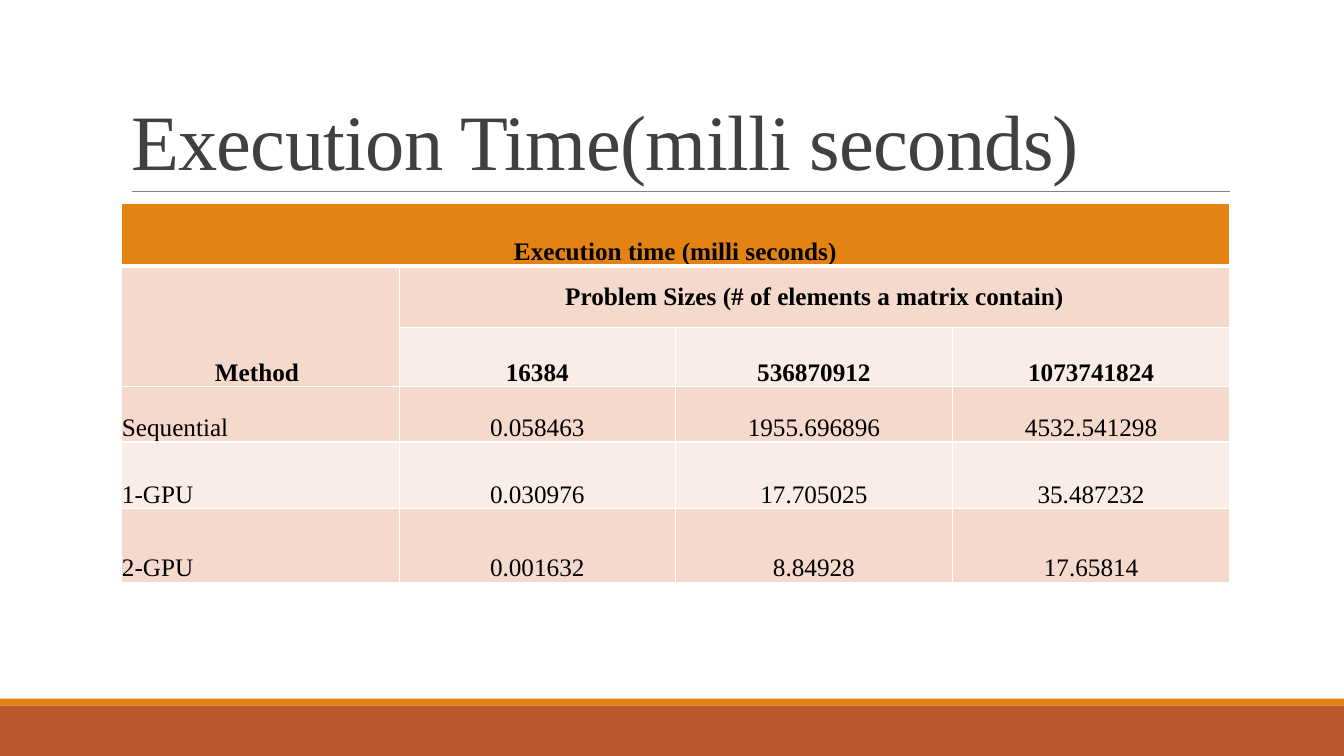
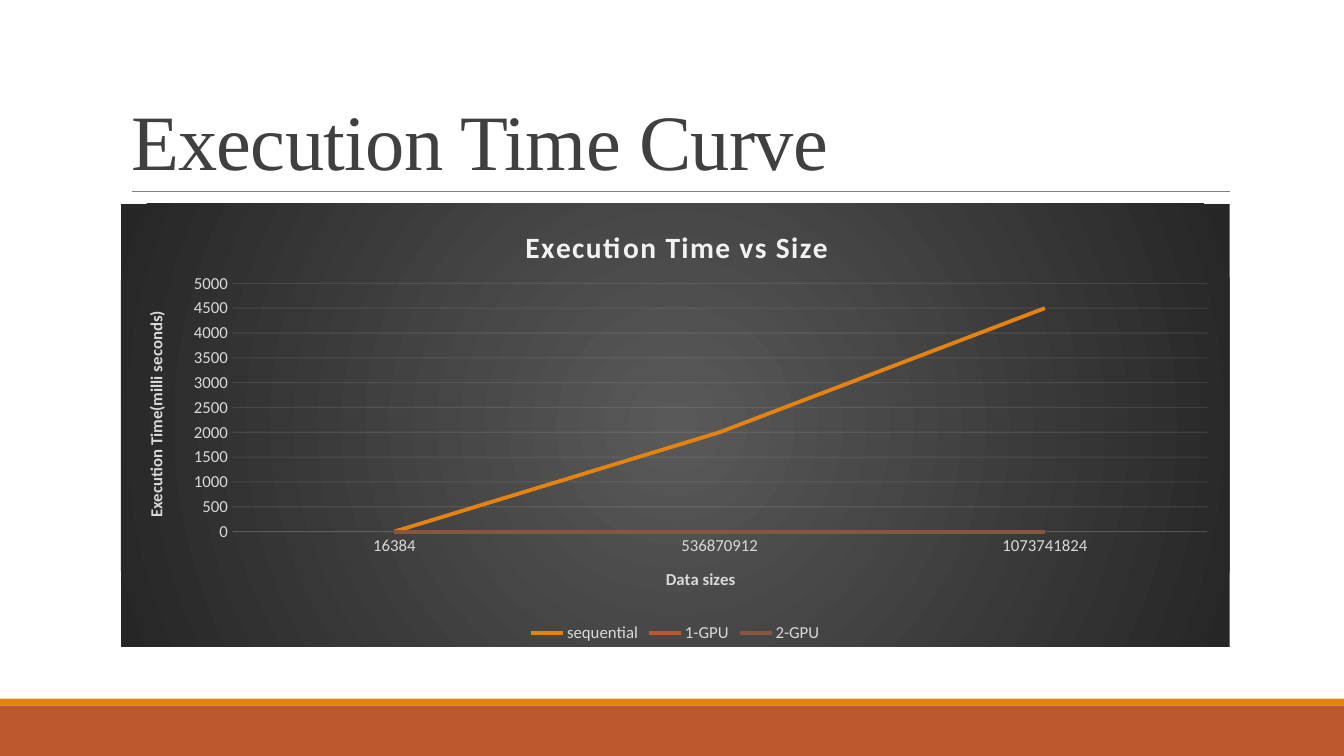
from lxml.etree import SubElement
from pptx import Presentation
from pptx.chart.data import CategoryChartData
from pptx.dml.color import RGBColor
from pptx.enum.chart import XL_CHART_TYPE as CT, XL_LEGEND_POSITION as LP, XL_TICK_MARK as TM
from pptx.enum.shapes import MSO_CONNECTOR as MC, MSO_SHAPE as MS
from pptx.enum.text import MSO_ANCHOR as MA, MSO_AUTO_SIZE as AS, PP_ALIGN as PA
from pptx.oxml import parse_xml
from pptx.oxml.ns import nsdecls, qn
from pptx.util import Inches, Pt

COLORS = {
    "orange": "E48312", "rust": "BD582C", "brown": "865640",
    "title": "404040", "rule": "808080", "white": "FFFFFF", "black": "000000",
    "band": "F5D9CC", "pale": "FAEDE7",
    "chart_title": "F2F2F2", "chart_text": "D9D9D9", "chart_line": "F2F2F2",
    "glow": "595959", "dark": "262626",
}
SERIF, SANS = "Times New Roman", "Calibri"
W, H = Inches(13.33), Inches(7.5)
COL, ROW = W / 100, H / 100
LEFT, WIDTH, TOP = 9 * COL, 82.5 * COL, 26.93 * ROW
TITLE_BOX = (LEFT, 4.1 * ROW, WIDTH, 21.2 * ROW)
TABLE_BOX = (LEFT, TOP, WIDTH, 50.1 * ROW)
CHART_BOX = (LEFT, TOP, WIDTH, 58.65 * ROW)
ROW_PERCENTS = (16.5, 16.3, 15.5, 14.7, 17.6, 19.4)
COLUMN_PERCENTS = (25.1, 24.9, 25, 25)

SIZES = ("16384", "536870912", "1073741824")
TIMES = {
    "Sequential": ("0.058463", "1955.696896", "4532.541298"),
    "1-GPU": ("0.030976", "17.705025", "35.487232"),
    "2-GPU": ("0.001632", "8.84928", "17.65814"),
}


def rgb(name):
    return RGBColor.from_string(COLORS[name])


def place(shape, box):
    shape.left, shape.top, shape.width, shape.height = map(int, box)


def style_font(font, size, color, name, bold=False):
    font.size, font.name, font.bold = Pt(size), name, bold
    font.color.rgb = rgb(color)


def add_band(s, top, height, color):
    band = s.shapes.add_shape(MS.RECTANGLE, 0, int(top * ROW), W, int(height * ROW))
    band.shadow.inherit = False
    band.fill.solid()
    band.fill.fore_color.rgb = rgb(color)
    band.line.fill.background()
    return band


def add_rule(s):
    y = int(25.3 * ROW)
    rule = s.shapes.add_connector(MC.STRAIGHT, int(9.8 * COL), y, int(91.55 * COL), y)
    rule.line.color.rgb = rgb("rule")
    rule.line.width = Pt(0.5)
    SubElement(rule.element.spPr, qn("a:effectLst"))
    return rule


def style_title(title):
    """Give the layout's title the look that every slide inherits."""
    place(title, TITLE_BOX)
    tf = title.text_frame
    tf.vertical_anchor, tf.auto_size = MA.BOTTOM, AS.NONE
    styles = title.element.txBody.find(qn("a:lstStyle"))
    styles.append(parse_xml(
        f'<a:lvl1pPr {nsdecls("a")} algn="l"><a:lnSpc><a:spcPct val="85000"/></a:lnSpc>'
        f'<a:defRPr sz="5600" spc="-50"><a:solidFill><a:srgbClr val="{COLORS["title"]}"/>'
        f'</a:solidFill><a:latin typeface="{SERIF}"/></a:defRPr></a:lvl1pPr>'))


def build_layout(layout, s):
    """Style the title and move the bands and the rule from slide s to its layout."""
    for ph in list(layout.placeholders):
        if ph.placeholder_format.idx:
            ph.element.getparent().remove(ph.element)
        else:
            style_title(ph)
    tree = layout.shapes.element
    parts = (add_band(s, 93.3, 6.7, "rust"), add_band(s, 92.4, 0.9, "orange"),
             add_rule(s))
    for i, part in enumerate(parts):
        tree.insert(2 + i, part.element)


def set_title(s, text):
    s.shapes.title.text_frame.paragraphs[0].add_run().text = text


def fill_cell(cell, text, color, bold, align, anchor):
    cell.fill.solid()
    cell.fill.fore_color.rgb = rgb(color)
    cell.margin_left = cell.margin_right = cell.margin_top = Inches(0.01)
    cell.margin_bottom = 0
    cell.vertical_anchor = anchor
    p = cell.text_frame.paragraphs[0]
    p.alignment = align
    if text:
        r = p.add_run()
        r.text = text
        style_font(r.font, 18, "black", SERIF, bold)


def set_borders(tc_pr, widths):
    """Draw white left, right, top and bottom borders, widths in points."""
    for i, (side, width) in enumerate(zip("LRTB", widths)):
        tc_pr.insert(i, parse_xml(
            f'<a:ln{side} {nsdecls("a")} w="{Pt(width)}"><a:solidFill>'
            f'<a:srgbClr val="{COLORS["white"]}"/></a:solidFill></a:ln{side}>'))


def add_time_table(s, box):
    rows = [
        ("Execution time (milli seconds)", "", "", ""),
        ("Method ", "Problem Sizes (# of elements a matrix contain)", "", ""),
        ("", *SIZES),
        *((method, *times) for method, times in TIMES.items()),
    ]
    frame = s.shapes.add_table(len(rows), len(rows[0]), *map(int, box))
    table = frame.table
    table.first_row = table.horz_banding = False
    for row, percent in zip(table.rows, ROW_PERCENTS):
        row.height = int(percent * box[3] / 100)
    for column, percent in zip(table.columns, COLUMN_PERCENTS):
        column.width = int(percent * box[2] / 100)
    for i, row in enumerate(rows):
        color = "orange" if i == 0 else "band" if i % 2 else "pale"
        for j, text in enumerate(row):
            align = PA.LEFT if i > 2 and j == 0 else PA.CENTER
            anchor = MA.MIDDLE if (i, j) == (1, 1) else MA.BOTTOM
            fill_cell(table.cell(i, j), text, color, i < 3, align, anchor)
    for start, end in (((0, 0), (0, 3)), ((1, 0), (2, 0)), ((1, 1), (1, 3))):
        table.cell(*start).merge(table.cell(*end))
    for i, tr in enumerate(frame.element.iter(qn("a:tr"))):
        for tc_pr in tr.iter(qn("a:tcPr")):
            set_borders(tc_pr, (1, 1, 3 if i == 1 else 1, 3 if i == 0 else 1))


def add_chart_title(owner, text, size, color):
    r = owner.text_frame.paragraphs[0].add_run()
    r.text = text
    style_font(r.font, size, color, SANS, True)


def style_axis(axis, title):
    axis.major_tick_mark = axis.minor_tick_mark = TM.NONE
    style_font(axis.tick_labels.font, 12, "chart_text", SANS)
    add_chart_title(axis.axis_title, title, 12, "chart_text")


def style_line(line, color, width):
    line.color.rgb = rgb(color)
    line.width = Pt(width)


def set_chart_layout(parent, index, target="", **shares):
    """Fix the place of a chart part as shares of the chart's size."""
    for old in parent.findall(qn("c:layout")):
        parent.remove(old)
    sizes = "".join(f'<c:{key} val="{share}"/>' for key, share in shares.items())
    parent.insert(index, parse_xml(
        f'<c:layout {nsdecls("c")}><c:manualLayout>{target}<c:xMode val="edge"/>'
        f'<c:yMode val="edge"/>{sizes}</c:manualLayout></c:layout>'))


def finish_chart_xml(root):
    """Add the radial background, fixed places, faint lines and title tracking."""
    root.find(qn("c:chart")).addnext(parse_xml(
        f'<c:spPr {nsdecls("c", "a")}><a:gradFill><a:gsLst>'
        f'<a:gs pos="0"><a:srgbClr val="{COLORS["glow"]}"/></a:gs>'
        f'<a:gs pos="100000"><a:srgbClr val="{COLORS["dark"]}"/></a:gs></a:gsLst>'
        '<a:path path="circle"><a:fillToRect l="50000" t="50000" r="50000" b="50000"/>'
        '</a:path></a:gradFill><a:ln><a:noFill/></a:ln></c:spPr>'))
    set_chart_layout(root.find(".//" + qn("c:plotArea")), 0,
                     '<c:layoutTarget val="inner"/>', x=0.1, y=0.18, w=0.88, h=0.56)
    set_chart_layout(root.xpath("./c:chart/c:title")[0], 1, x=0.36, y=0.04)
    for color in root.xpath(f'.//a:ln//a:srgbClr[@val="{COLORS["chart_line"]}"]'):
        SubElement(color, qn("a:alpha")).set("val", "10000")
    for r_pr in root.xpath("./c:chart/c:title//a:rPr"):
        r_pr.set("spc", "100")


def add_time_chart(s, box):
    data = CategoryChartData()
    data.categories = SIZES
    for method, times in TIMES.items():
        name = method.replace("Sequential", "sequential")
        data.add_series(name, [int(round(float(t), -2)) for t in times])
    chart = s.shapes.add_chart(CT.LINE, *map(int, box), data).chart
    style_font(chart.font, 10, "black", SANS)
    add_chart_title(chart.chart_title, "Execution Time vs Size", 21, "chart_title")

    cat, val = chart.category_axis, chart.value_axis
    style_axis(cat, "Data sizes")
    style_axis(val, "Execution Time(milli seconds)")
    val.minimum_scale, val.maximum_scale, val.major_unit = 0, 5000, 500
    val.format.line.fill.background()
    for line in (cat.format.line, val.major_gridlines.format.line):
        style_line(line, "chart_line", 0.75)

    chart.has_legend = True
    chart.legend.position = LP.BOTTOM
    chart.legend.include_in_layout = False
    style_font(chart.legend.font, 12, "chart_text", SANS)

    plot = chart.plots[0]
    plot.vary_by_categories = False
    for series, color in zip(plot.series, ("orange", "rust", "brown")):
        series.smooth = False
        style_line(series.format.line, color, 2.75)
    finish_chart_xml(chart.element)


def main():
    prs = Presentation()
    prs.slide_width, prs.slide_height = W, H
    layout = prs.slide_layouts[5]
    table_slide, chart_slide = (prs.slides.add_slide(layout) for _ in range(2))
    build_layout(layout, table_slide)

    set_title(table_slide, "Execution Time(milli seconds)")
    add_time_table(table_slide, TABLE_BOX)

    set_title(chart_slide, "Execution Time Curve")
    add_time_chart(chart_slide, CHART_BOX)
    prs.save("out.pptx")


if __name__ == "__main__":
    main()
